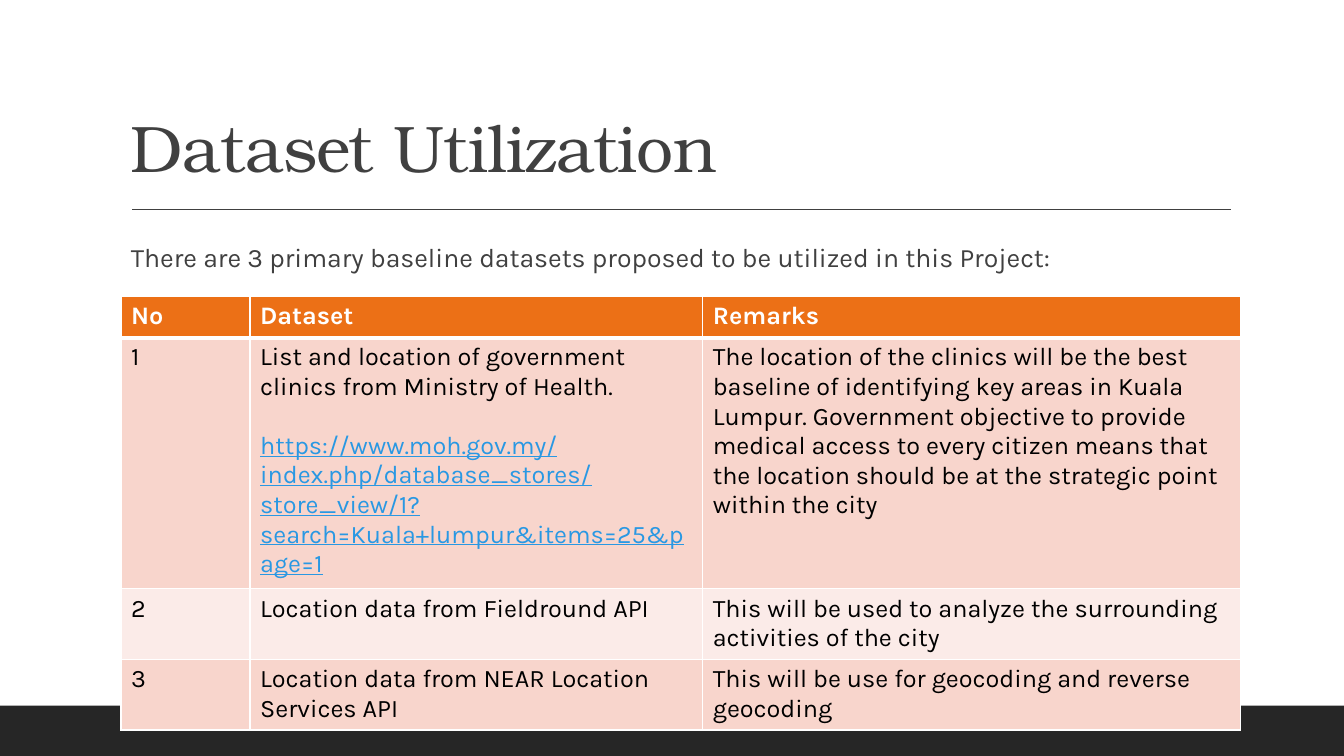
from lxml.etree import SubElement
from pptx import Presentation
from pptx.dml.color import RGBColor
from pptx.enum.shapes import MSO_CONNECTOR as Connector, MSO_SHAPE as Shape
from pptx.enum.text import MSO_ANCHOR as Anchor
from pptx.oxml import parse_xml
from pptx.oxml.ns import nsdecls, qn
from pptx.util import Inches, Pt

HEADING_FONT, BODY_FONT = "TeX Gyre Bonum", "Karla"
DARK, GRAY, ORANGE, WHITE = "262626", "404040", "EC7016", "FFFFFF"
BLACK, LINK_BLUE = "000000", "2998E3"
BANDS = ["F8D5CC", "FBEBE8"]

COLUMN_WIDTHS = [1.28, 4.49, 5.33]
ROW_HEIGHTS = [0.41, 2.43, 0.69, 0.69]
LINK = ("https://www.moh.gov.my/index.php/database_stores/store_view/1"
        "?search=Kuala+lumpur&items=25&page=1")
# Each cell is a list of paragraphs
DATASETS = [
    [["No"], ["Dataset"], ["Remarks"]],
    [["1"],
     ["List and location of government clinics from Ministry of Health.", LINK],
     ["The location of the clinics will be the best baseline of identifying "
      "key areas in Kuala Lumpur. Government objective to provide medical "
      "access to every citizen means that the location should be at the "
      "strategic point within the city"]],
    [["2"], ["Location data from Fieldround API"],
     ["This will be used to analyze the surrounding activities of the city"]],
    [["3"], ["Location data from NEAR Location Services API"],
     ["This will be use for geocoding and reverse geocoding"]],
]


def rgb(color):
    return RGBColor.from_string(color)


class DatasetSlide:
    """Holds the slide and draws its kinds of element."""

    def __init__(self, deck):
        self.shapes = deck.slides.add_slide(deck.slide_layouts[6]).shapes

    def styled_run(self, paragraph, text, color, font_values):
        run = paragraph.add_run()
        run.text = text
        run.font.color.rgb = rgb(color)
        for name, value in font_values.items():
            setattr(run.font, name, value)
        return run

    def band(self, left, top, width, height, color):
        band = self.shapes.add_shape(Shape.RECTANGLE, Inches(left), Inches(top),
                                     Inches(width), Inches(height))
        band.shadow.inherit = False
        band.fill.solid()
        band.fill.fore_color.rgb = rgb(color)
        band.line.fill.background()

    def rule(self, left, right, y, color):
        rule = self.shapes.add_connector(Connector.STRAIGHT, Inches(left),
                                         Inches(y), Inches(right), Inches(y))
        rule.line.color.rgb = rgb(color)
        rule.line.width = Pt(1)
        SubElement(rule._element.spPr, qn("a:effectLst"))

    def text(self, box, content, paragraph_values, font_values,
             anchor=Anchor.TOP, tracking=0):
        frame = self.shapes.add_textbox(*map(Inches, box)).text_frame
        frame.word_wrap = True
        frame.vertical_anchor = anchor
        paragraph = frame.paragraphs[0]
        for name, value in paragraph_values.items():
            setattr(paragraph, name, value)
        run = self.styled_run(paragraph, content, GRAY, font_values)
        if tracking:
            run.font._element.set("spc", str(round(tracking * 100)))

    def borders(self, cell, bottom_width):
        properties = cell._tc.get_or_add_tcPr()
        for index, side in enumerate("LRTB"):
            width = Pt(bottom_width if side == "B" else 1)
            properties.insert(index, parse_xml(
                f'<a:ln{side} {nsdecls("a")} w="{width}"><a:solidFill>'
                f'<a:srgbClr val="{WHITE}"/></a:solidFill></a:ln{side}>'))

    def cell(self, cell, paragraphs, fill, header):
        cell.fill.solid()
        cell.fill.fore_color.rgb = rgb(fill)
        self.borders(cell, 3 if header else 1)
        frame = cell.text_frame
        for index, content in enumerate(paragraphs):
            paragraph = frame.add_paragraph() if index else frame.paragraphs[0]
            if index:
                paragraph.space_before = Pt(21)
            is_link = content == LINK
            color = WHITE if header else LINK_BLUE if is_link else BLACK
            self.styled_run(paragraph, content, color,
                            {"name": BODY_FONT, "size": Pt(18),
                             "bold": header, "underline": is_link})

    def table(self, left, top, rows):
        table = self.shapes.add_table(
            len(rows), len(COLUMN_WIDTHS), Inches(left), Inches(top),
            Inches(sum(COLUMN_WIDTHS)), Inches(sum(ROW_HEIGHTS))).table
        for column, width in zip(table.columns, COLUMN_WIDTHS):
            column.width = Inches(width)
        for r, (row, height) in enumerate(zip(rows, ROW_HEIGHTS)):
            table.rows[r].height = Inches(height)
            fill = BANDS[(r - 1) % 2] if r else ORANGE
            for c, paragraphs in enumerate(row):
                self.cell(table.cell(r, c), paragraphs, fill, r == 0)


def main():
    deck = Presentation()
    deck.slide_width, deck.slide_height = Inches(13.33), Inches(7.5)
    slide = DatasetSlide(deck)

    # Footer band and heading rule
    slide.band(0, 7, 13.33, 0.5, DARK)
    slide.rule(1.31, 12.21, 2.08, GRAY)

    # Heading and introduction
    slide.text((1.2, 0.31, 11, 1.59), "Dataset Utilization",
               {"line_spacing": 0.9}, {"name": HEADING_FONT, "size": Pt(47)},
               Anchor.BOTTOM, tracking=-0.5)
    slide.text((1.2, 2.31, 11, 4.11),
               "There are 3 primary baseline datasets proposed to be utilized "
               "in this Project:",
               {"line_spacing": 1.1, "space_before": Pt(12), "space_after": Pt(2)},
               {"name": BODY_FONT, "size": Pt(19)})

    # Dataset table
    slide.table(1.2, 2.94, DATASETS)
    deck.save("out.pptx")


if __name__ == "__main__":
    main()
